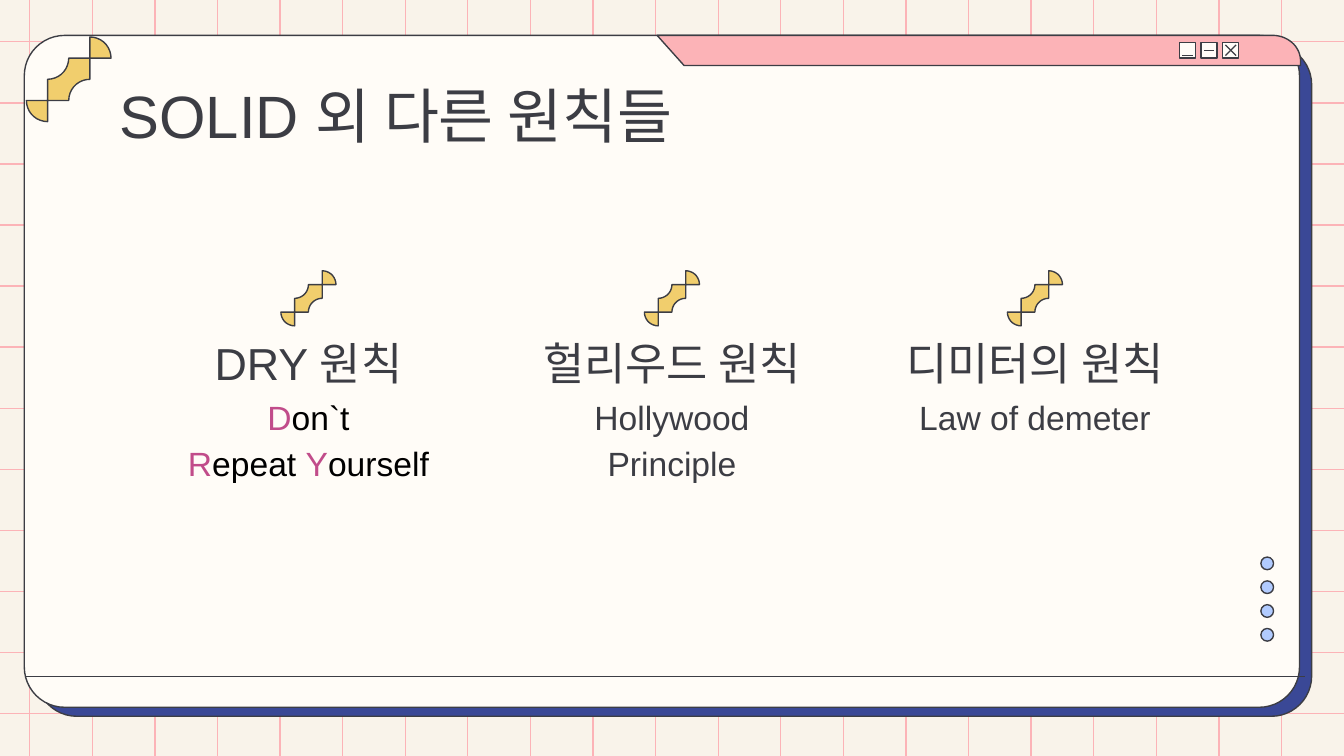
import math

from lxml import etree
from pptx import Presentation
from pptx.dml.color import RGBColor
from pptx.enum.shapes import MSO_CONNECTOR, MSO_SHAPE
from pptx.enum.text import MSO_ANCHOR, MSO_AUTO_SIZE, PP_ALIGN
from pptx.oxml.ns import qn
from pptx.util import Cm, Pt

STRAIGHT = MSO_CONNECTOR.STRAIGHT
RECTANGLE, ROUNDED, OVAL = MSO_SHAPE.RECTANGLE, MSO_SHAPE.ROUNDED_RECTANGLE, MSO_SHAPE.OVAL
TOP, MIDDLE = MSO_ANCHOR.TOP, MSO_ANCHOR.MIDDLE
LEFT, CENTER = PP_ALIGN.LEFT, PP_ALIGN.CENTER
NO_AUTOFIT = MSO_AUTO_SIZE.NONE

CREAM = RGBColor(0xF9, 0xF3, 0xEA)
PAPER = RGBColor(0xFF, 0xFC, 0xF7)
PINK = RGBColor(0xFC, 0xB3, 0xB7)
NAVY = RGBColor(0x3A, 0x48, 0x96)
DARK = RGBColor(0x3C, 0x3D, 0x44)
GOLD = RGBColor(0xF1, 0xCE, 0x6D)
BLUE = RGBColor(0xB1, 0xCB, 0xFF)
MAGENTA = RGBColor(0xC1, 0x4C, 0x8A)
BLACK = RGBColor(0x00, 0x00, 0x00)
FONT = "Arial"
WIDTH, HEIGHT = 25.4, 14.29

presentation = Presentation()
presentation.slide_width = Cm(WIDTH)
presentation.slide_height = Cm(HEIGHT)
slide = presentation.slides.add_slide(presentation.slide_layouts[5])
slide.background.fill.solid()
slide.background.fill.fore_color.rgb = CREAM
shapes = slide.shapes


def add_line(x1, y1, x2, y2, color):
    line = shapes.add_connector(STRAIGHT, Cm(x1), Cm(y1), Cm(x2), Cm(y2))
    line.line.color.rgb = color
    line.line.width = Pt(0.75)
    etree.SubElement(line.element.spPr, qn("a:effectLst"))


def paint(shape, fill):
    shape.shadow.inherit = False
    shape.fill.solid()
    shape.fill.fore_color.rgb = fill
    shape.line.color.rgb = DARK
    shape.line.width = Pt(0.75)


for column in range(21):
    x = 0.56 + column * 23.66 / 20
    add_line(x, 0, x, HEIGHT, PINK)
for row in range(12):
    y = 0.79 + row * 12.7 / 11
    add_line(0, y, WIDTH, y, PINK)

for left, top, fill in [(0.69, 0.84, NAVY), (0.46, 0.67, PAPER)]:
    panel = shapes.add_shape(ROUNDED, Cm(left), Cm(top), Cm(24.1), Cm(12.7))
    panel.adjustments[0] = 0.06
    paint(panel, fill)

tab_points = [(12.93, 1.24), (24.58, 1.24)]
for degrees in range(0, 91, 5):
    angle = math.radians(degrees)
    tab_points.append((24.05 + 0.53 * math.cos(angle), 1.15 - 0.48 * math.sin(angle)))
builder = shapes.build_freeform(Cm(12.42), Cm(0.67))
builder.add_line_segments([(Cm(x), Cm(y)) for x, y in tab_points])
paint(builder.convert_to_shape(), PINK)

for left in (22.29, 22.7, 23.11):
    button = shapes.add_shape(RECTANGLE, Cm(left), Cm(0.8), Cm(0.3), Cm(0.3))
    paint(button, PAPER)
add_line(22.34, 1.05, 22.54, 1.05, DARK)
add_line(22.75, 0.95, 22.95, 0.95, DARK)
add_line(23.16, 0.85, 23.36, 1.05, DARK)
add_line(23.16, 1.05, 23.36, 0.85, DARK)
add_line(0.48, 12.79, 24.66, 12.79, DARK)

for index in range(4):
    dot = shapes.add_shape(OVAL, Cm(23.83), Cm(10.53 + index * 0.45), Cm(0.24), Cm(0.24))
    paint(dot, BLUE)

centers = [5.83, 12.7, 19.56]
stars = [(1.3, 1.5, 0.4)] + [(x, 5.64, 0.26) for x in centers]
for x, y, radius in stars:
    outline = []
    for side_x, side_y, start in [(-1, -1, 0), (-1, 1, 90), (1, 1, 180), (1, -1, 270)]:
        for degrees in range(start, start + 91, 10):
            angle = math.radians(degrees)
            outline.append((Cm(x + radius * (side_x + math.cos(angle))),
                            Cm(y + radius * (side_y + math.sin(angle)))))
    builder = shapes.build_freeform(*outline[0])
    builder.add_line_segments(outline[1:])
    paint(builder.convert_to_shape(), GOLD)

title = shapes.title
title.element.getparent().append(title.element)
title.left, title.top, title.width, title.height = Cm(2.01), Cm(1.24), Cm(21.4), Cm(1.6)
texts = [(title, TOP, LEFT, 32, 1.0, [[("SOLID 외 다른 원칙들", DARK)]])]

principles = [
    ("DRY 원칙", [[("D", MAGENTA), ("on`t", BLACK)],
                [("R", MAGENTA), ("epeat ", BLACK), ("Y", MAGENTA), ("ourself", BLACK)]]),
    ("헐리우드 원칙", [[("Hollywood Principle", DARK)]]),
    ("디미터의 원칙", [[("Law of demeter", DARK)]]),
]
for center, (name, description) in zip(centers, principles):
    left = Cm(center - 2.75)
    body = shapes.add_textbox(left, Cm(7.14), Cm(5.5), Cm(1.75))
    heading = shapes.add_textbox(left, Cm(6.1), Cm(5.5), Cm(1.35))
    texts.append((body, TOP, CENTER, 18, 1.15, description))
    texts.append((heading, MIDDLE, CENTER, 24, 1.15, [[(name, DARK)]]))

for box, anchor, alignment, size, spacing, lines in texts:
    frame = box.text_frame
    frame.word_wrap = True
    frame.auto_size = NO_AUTOFIT
    frame.vertical_anchor = anchor
    frame.margin_left = frame.margin_right = Cm(0.25)
    frame.margin_top = frame.margin_bottom = Cm(0.25)
    paragraph = frame.paragraphs[0]
    paragraph.alignment = alignment
    paragraph.line_spacing = spacing
    for number, line in enumerate(lines):
        if number:
            paragraph.add_line_break()
        for text, color in line:
            run = paragraph.add_run()
            run.text = text
            run.font.name = FONT
            run.font.size = Pt(size)
            run.font.color.rgb = color

presentation.save("out.pptx")
